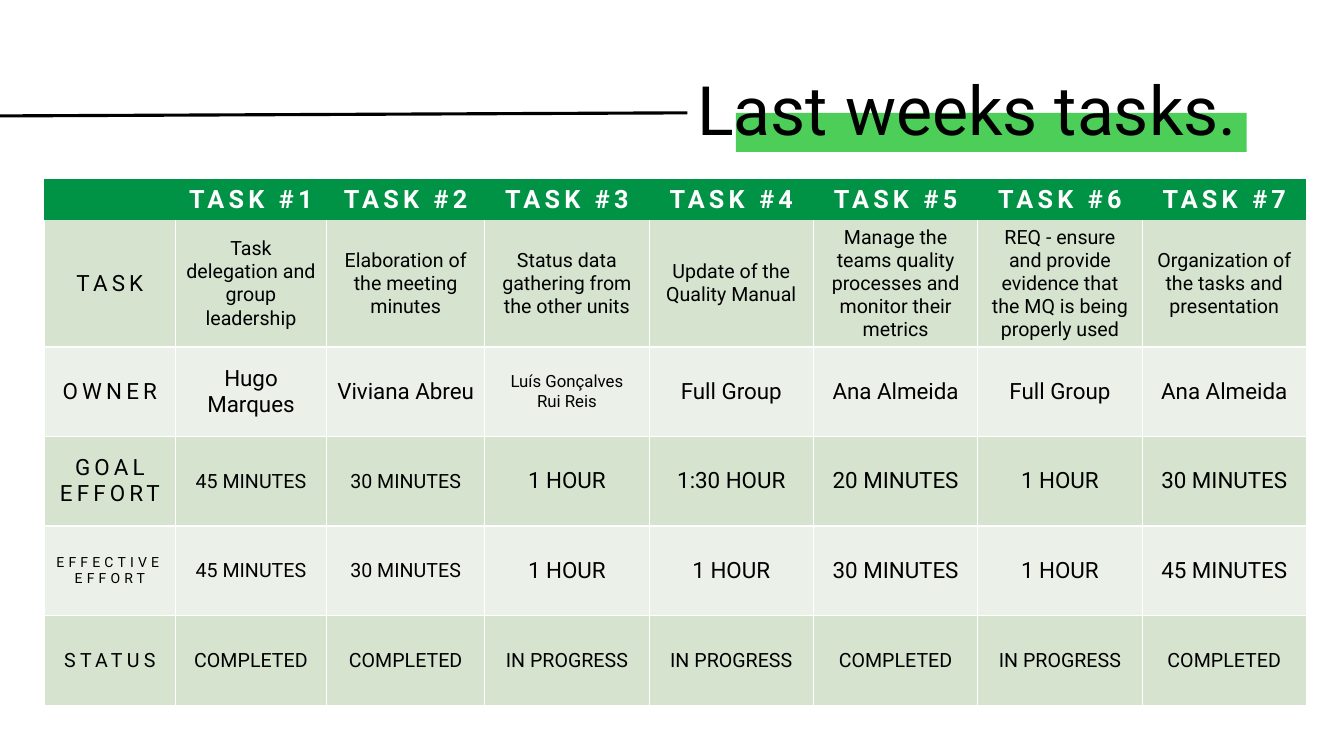
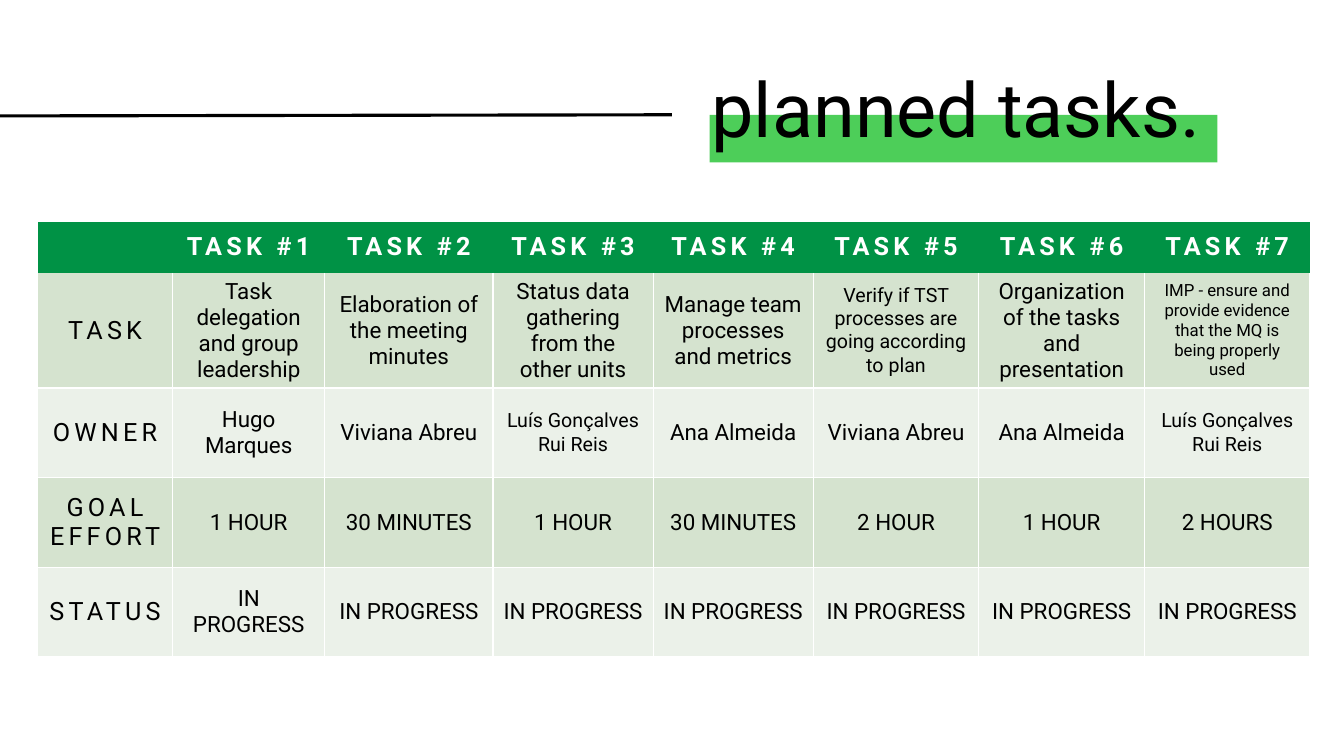
from lxml import etree
from pptx import Presentation
from pptx.dml.color import RGBColor
from pptx.enum.shapes import MSO_CONNECTOR, MSO_SHAPE
from pptx.enum.text import MSO_ANCHOR, PP_ALIGN
from pptx.oxml.ns import qn
from pptx.util import Pt

RECTANGLE = MSO_SHAPE.RECTANGLE
STRAIGHT = MSO_CONNECTOR.STRAIGHT
MIDDLE = MSO_ANCHOR.MIDDLE
CENTER = PP_ALIGN.CENTER

FONT = "Roboto"
COLORS = {
    "text": "000000",
    "white": "FFFFFF",
    "highlight": "4DCE59",
    "header": "009245",
    "dark_band": "D5E3CF",
    "light_band": "EBF1E9",
}
NO_STYLE = "{2D5ABB26-0587-4C30-8999-92F81FD0307C}"
TITLE_TOP, TITLE_HEIGHT = 28.8, 104.4
LINE_START_Y = 82.8
BODY_ROW_HEIGHT = 64
LABEL_SPACING = 3
HEADER = ("", 18, 18, [f"TASK #{number}" for number in range(1, 8)])

# Each row: label, label size, text size, texts; a (text, size) pair overrides the text size.
SLIDES = [
    {
        "title": "Last weeks tasks.",
        "title_size": 48.6,
        "title_left": 491,
        "title_width": 403.2,
        "highlight": (525.6, 80.6, 365, 28),
        "line_end": (491, 80.6),
        "table_at": (31.7, 128.2),
        "columns": [93.6, 108, 113] + [117.4] * 5,
        "top_rows": [29.2, 90.4],
        "rows": [
            ("TASK", 16, 14, [
                "Task delegation and group leadership",
                "Elaboration of the meeting minutes",
                "Status data gathering from the other units",
                "Update of the Quality Manual",
                "Manage the teams quality processes and monitor their metrics",
                "REQ - ensure and provide evidence that the MQ is being properly used",
                "Organization of the tasks and presentation",
            ]),
            ("OWNER", 16, 16, [
                "Hugo Marques", "Viviana Abreu", ("Luís Gonçalves\nRui Reis", 12),
                "Full Group", "Ana Almeida", "Full Group", "Ana Almeida",
            ]),
            ("GOAL\nEFFORT", 16, 16, [
                ("45 MINUTES", 14), ("30 MINUTES", 14), "1 HOUR", "1:30 HOUR",
                "20 MINUTES", "1 HOUR", "30 MINUTES",
            ]),
            ("EFFECTIVE EFFORT", 10, 16, [
                ("45 MINUTES", 14), ("30 MINUTES", 14), "1 HOUR", "1 HOUR",
                "30 MINUTES", "1 HOUR", "45 MINUTES",
            ]),
            ("STATUS", 14, 14, [
                "COMPLETED", "COMPLETED", "IN PROGRESS", "IN PROGRESS",
                "COMPLETED", "IN PROGRESS", "COMPLETED",
            ]),
        ],
    },
    {
        "title": "planned tasks.",
        "title_size": 54,
        "title_left": 501.1,
        "title_width": 392.4,
        "highlight": (506.8, 82, 362.8, 34),
        "line_end": (480, 82),
        "table_at": (26.8, 158.4),
        "columns": [96.6, 108.6, 120.2, 114.4, 114.4] + [118.3] * 3,
        "top_rows": [36.6, 82.2],
        "rows": [
            ("TASK", 18, 16, [
                "Task delegation and group leadership",
                "Elaboration of the meeting minutes",
                "Status data gathering from the other units",
                "Manage team processes and metrics",
                ("Verify if TST processes are going according to plan", 14),
                "Organization of the tasks and presentation",
                ("IMP - ensure and provide evidence that the MQ is being properly used", 12),
            ]),
            ("OWNER", 18, 16, [
                "Hugo Marques", "Viviana Abreu", ("Luís Gonçalves\nRui Reis", 14),
                "Ana Almeida", "Viviana Abreu", "Ana Almeida",
                ("Luís Gonçalves\nRui Reis", 14),
            ]),
            ("GOAL\nEFFORT", 18, 16, [
                "1 HOUR", "30 MINUTES", "1 HOUR", "30 MINUTES",
                "2 HOUR", "1 HOUR", "2 HOURS",
            ]),
            ("STATUS", 18, 16, ["IN PROGRESS"] * 7),
        ],
    },
]


def add_run(paragraph, text, size, color="text", bold=False, spacing=0):
    """Add a run; spacing is the letter spacing in points."""
    run = paragraph.add_run()
    run.text = text
    run.font.name = FONT
    run.font.size = Pt(size)
    run.font.bold = bold
    run.font.color.rgb = RGBColor.from_string(COLORS[color])
    if spacing:
        run.font._element.set("spc", str(spacing * 100))


def add_borders(cell, sides):
    """Draw white one-point borders on the sides named by L, R, T and B."""
    properties = cell._tc.get_or_add_tcPr()
    for side in sides:
        line = etree.SubElement(properties, qn(f"a:ln{side}"), w=str(Pt(1)))
        fill = etree.SubElement(line, qn("a:solidFill"))
        etree.SubElement(fill, qn("a:srgbClr"), val=COLORS["white"])


presentation = Presentation()
presentation.slide_width = Pt(960)
presentation.slide_height = Pt(540)
blank_layout = presentation.slide_layouts[6]

for content in SLIDES:
    slide = presentation.slides.add_slide(blank_layout)

    highlight = slide.shapes.add_shape(RECTANGLE, *map(Pt, content["highlight"]))
    highlight.shadow.inherit = False
    highlight.fill.solid()
    highlight.fill.fore_color.rgb = RGBColor.from_string(COLORS["highlight"])
    highlight.line.fill.background()

    rows = [HEADER] + content["rows"]
    heights = content["top_rows"] + [BODY_ROW_HEIGHT] * (len(rows) - 2)
    widths = content["columns"]
    table = slide.shapes.add_table(
        len(rows), len(widths), *map(Pt, content["table_at"]),
        Pt(sum(widths)), Pt(sum(heights)),
    ).table
    table.first_row = True
    table.horz_banding = False
    table._tbl.tblPr.find(qn("a:tableStyleId")).text = NO_STYLE
    for column, width in zip(table.columns, widths):
        column.width = Pt(width)
    for row, height in zip(table.rows, heights):
        row.height = Pt(height)

    for row_index, (label, label_size, text_size, texts) in enumerate(rows):
        is_header = row_index == 0
        if is_header:
            band, sides = "header", ""
        else:
            band = "dark_band" if row_index % 2 else "light_band"
            sides = "LRB" if row_index == 1 else "LRTB"
        for column_index, entry in enumerate([(label, label_size)] + texts):
            text, size = entry if isinstance(entry, tuple) else (entry, text_size)
            cell = table.cell(row_index, column_index)
            add_borders(cell, sides)
            cell.fill.solid()
            cell.fill.fore_color.rgb = RGBColor.from_string(COLORS[band])
            if not text:
                continue
            cell.vertical_anchor = MIDDLE
            spacing = LABEL_SPACING if is_header or column_index == 0 else 0
            for line_index, line_text in enumerate(text.split("\n")):
                frame = cell.text_frame
                paragraph = frame.add_paragraph() if line_index else frame.paragraphs[0]
                paragraph.alignment = CENTER
                add_run(paragraph, line_text, size, "white" if is_header else "text",
                        is_header, spacing)

    title_line = slide.shapes.add_connector(
        STRAIGHT, Pt(0), Pt(LINE_START_Y), *map(Pt, content["line_end"]))
    title_line.line.color.rgb = RGBColor.from_string(COLORS["text"])
    title_line.line.width = Pt(2.25)
    etree.SubElement(title_line._element.spPr, qn("a:effectLst"))

    title = slide.shapes.add_textbox(
        Pt(content["title_left"]), Pt(TITLE_TOP),
        Pt(content["title_width"]), Pt(TITLE_HEIGHT))
    title.text_frame.word_wrap = True
    title.text_frame.vertical_anchor = MIDDLE
    title_paragraph = title.text_frame.paragraphs[0]
    title_paragraph.line_spacing = 0.9
    add_run(title_paragraph, content["title"], content["title_size"])

presentation.save("out.pptx")
